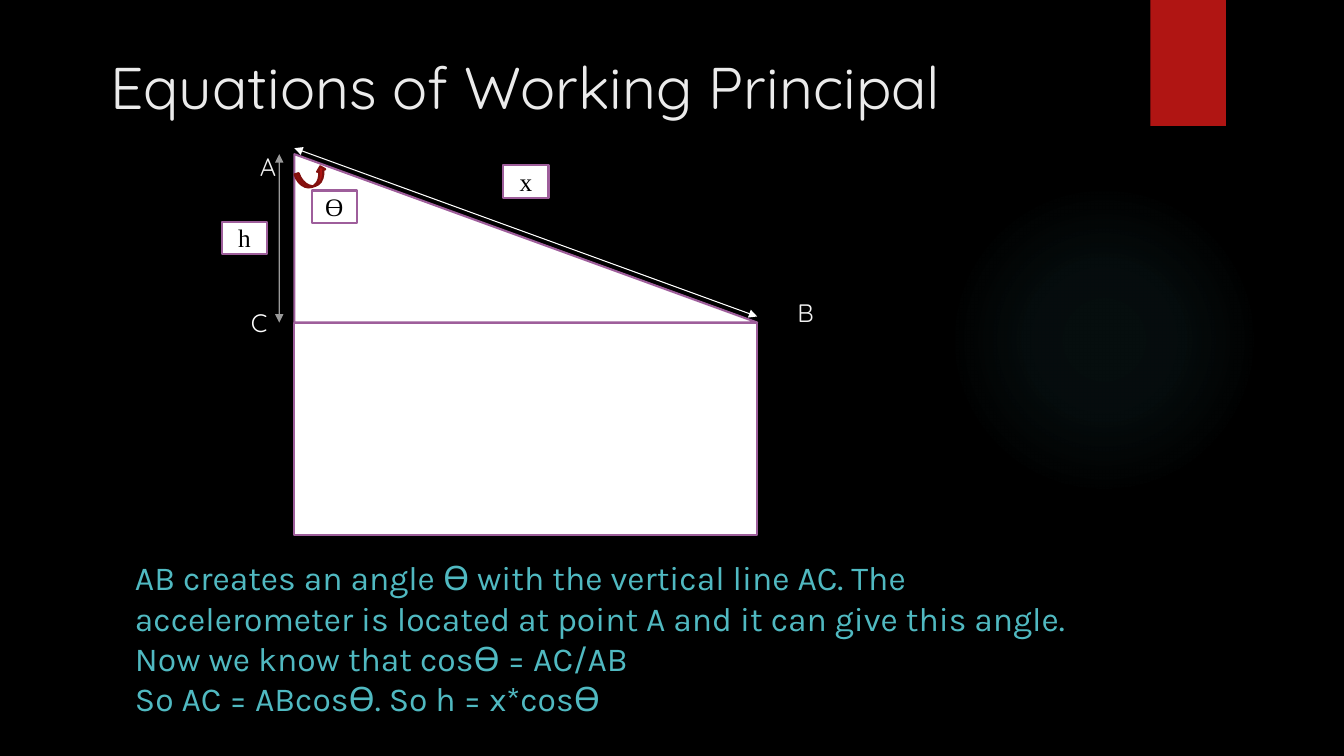
"""Build a slide on the working principle of an angle sensor."""
from pptx import Presentation
from pptx.dml.color import RGBColor
from pptx.enum.shapes import MSO_CONNECTOR, MSO_SHAPE
from pptx.enum.text import MSO_ANCHOR, PP_ALIGN
from pptx.oxml import parse_xml
from pptx.oxml.ns import qn
from pptx.util import Inches, Pt
from lxml import etree

OVAL, RECT = MSO_SHAPE.OVAL, MSO_SHAPE.RECTANGLE
BOX, WEDGE = MSO_SHAPE.FLOWCHART_PROCESS, MSO_SHAPE.RIGHT_TRIANGLE
CURVE = MSO_SHAPE.CURVED_UP_ARROW
LINE = MSO_CONNECTOR.STRAIGHT
LEFT, CENTER = PP_ALIGN.LEFT, PP_ALIGN.CENTER
MIDDLE = MSO_ANCHOR.MIDDLE

BLACK = RGBColor(0x00, 0x00, 0x00)
WHITE = RGBColor(0xFF, 0xFF, 0xFF)
PALE = RGBColor(0xF2, 0xF2, 0xF2)
GREY = RGBColor(0xEB, 0xEB, 0xEB)
RED = RGBColor(0xB0, 0x15, 0x13)
DARK = RGBColor(0x82, 0x10, 0x0E)
PURPLE = RGBColor(0x9E, 0x5E, 0x9B)
TEAL = RGBColor(0x50, 0xB9, 0xC1)

NS = 'xmlns:a="http://schemas.openxmlformats.org/drawingml/2006/main"'

deck = Presentation()
deck.slide_width, deck.slide_height = Inches(13.33), Inches(7.5)
slide = deck.slides.add_slide(deck.slide_layouts[6])
slide.background.fill.solid()
slide.background.fill.fore_color.rgb = BLACK


def add_form(kind, place, fill=None, edge=None):
    form = slide.shapes.add_shape(kind, *map(Inches, place))
    form.shadow.inherit = False
    if fill is not None:
        form.fill.solid()
        form.fill.fore_color.rgb = fill
    if edge is None:
        form.line.fill.background()
    else:
        form.line.color.rgb = edge
        form.line.width = Pt(1.5)
    return form


def add_words(form, lines, font, size, color, align=LEFT):
    frame = form.text_frame
    frame.word_wrap = True
    para = frame.paragraphs[0]
    para.alignment = align
    for i, line in enumerate(lines):
        if i:
            para.add_line_break()
        run = para.add_run()
        run.text = line
        run.font.name = font
        run.font.size = Pt(size)
        run.font.color.rgb = color


glow = add_form(OVAL, (9.41, 1.83, 3.08, 3.08))
stops = "".join(
    f'<a:gs pos="{pos}000"><a:srgbClr val="{TEAL}"><a:alpha val="{alpha}000"/></a:srgbClr></a:gs>'
    for pos, alpha in ((0, 7), (36, 6), (69, 0)))
glow.element.spPr.insert(2, parse_xml(
    f'<a:gradFill {NS}><a:gsLst>{stops}</a:gsLst><a:path path="circle">'
    '<a:fillToRect l="50000" t="50000" r="50000" b="50000"/></a:path></a:gradFill>'))

add_form(RECT, (11.41, 0, 0.75, 1.25), RED)
add_form(BOX, (2.92, 3.2, 4.59, 2.11), WHITE, PURPLE)
add_form(WEDGE, (2.92, 1.53, 4.59, 1.67), WHITE, PURPLE)
turn = add_form(CURVE, (2.94, 1.68, 0.31, 0.17), RED, DARK)
turn.rotation = 342.5

for text, left, top in (("ϴ", 3.09, 1.89), ("x", 4.99, 1.64), ("h", 2.2, 2.2)):
    tag = add_form(BOX, (left, top, 0.45, 0.32), WHITE, PURPLE)
    tag.text_frame.vertical_anchor = MIDDLE
    add_words(tag, [text], "Times New Roman", 18, BLACK, CENTER)

for text, left, top, color in (("C", 2.39, 3, WHITE), ("A", 2.48, 1.45, PALE), ("B", 7.81, 2.9, PALE)):
    point = slide.shapes.add_textbox(*map(Inches, (left, top, 0.45, 0.4)))
    add_words(point, [text], "Quicksand", 18, color)

body = slide.shapes.add_textbox(*map(Inches, (1.24, 5.48, 9.95, 2.02)))
add_words(body, [
    "AB creates an angle ϴ with the vertical line AC. The accelerometer is located at point A "
    "and it can give this angle. Now we know that cosϴ = AC/AB",
    "So AC = ABcosϴ. So h = x*cosϴ"], "Karla", 24, TEAL)

title = slide.shapes.add_textbox(*map(Inches, (0.71, 0.45, 9, 0.83)))
add_words(title, ["Equations of Working Principal"], "Quicksand", 42, GREY, CENTER)

for ends, alpha in (((2.77, 1.53, 2.77, 3.2), 60), ((2.92, 1.47, 7.51, 3.14), 100)):
    span = slide.shapes.add_connector(LINE, *map(Inches, ends))
    span.line.color.rgb = WHITE
    span.line.width = Pt(0.75)
    edge = span.line._get_or_add_ln()
    if alpha < 100:
        tint = edge.find(".//" + qn("a:srgbClr"))
        etree.SubElement(tint, qn("a:alpha"), val=f"{alpha}000")
    for end in ("a:headEnd", "a:tailEnd"):
        etree.SubElement(edge, qn(end), type="triangle")
    etree.SubElement(span.element.spPr, qn("a:effectLst"))

deck.save("out.pptx")
